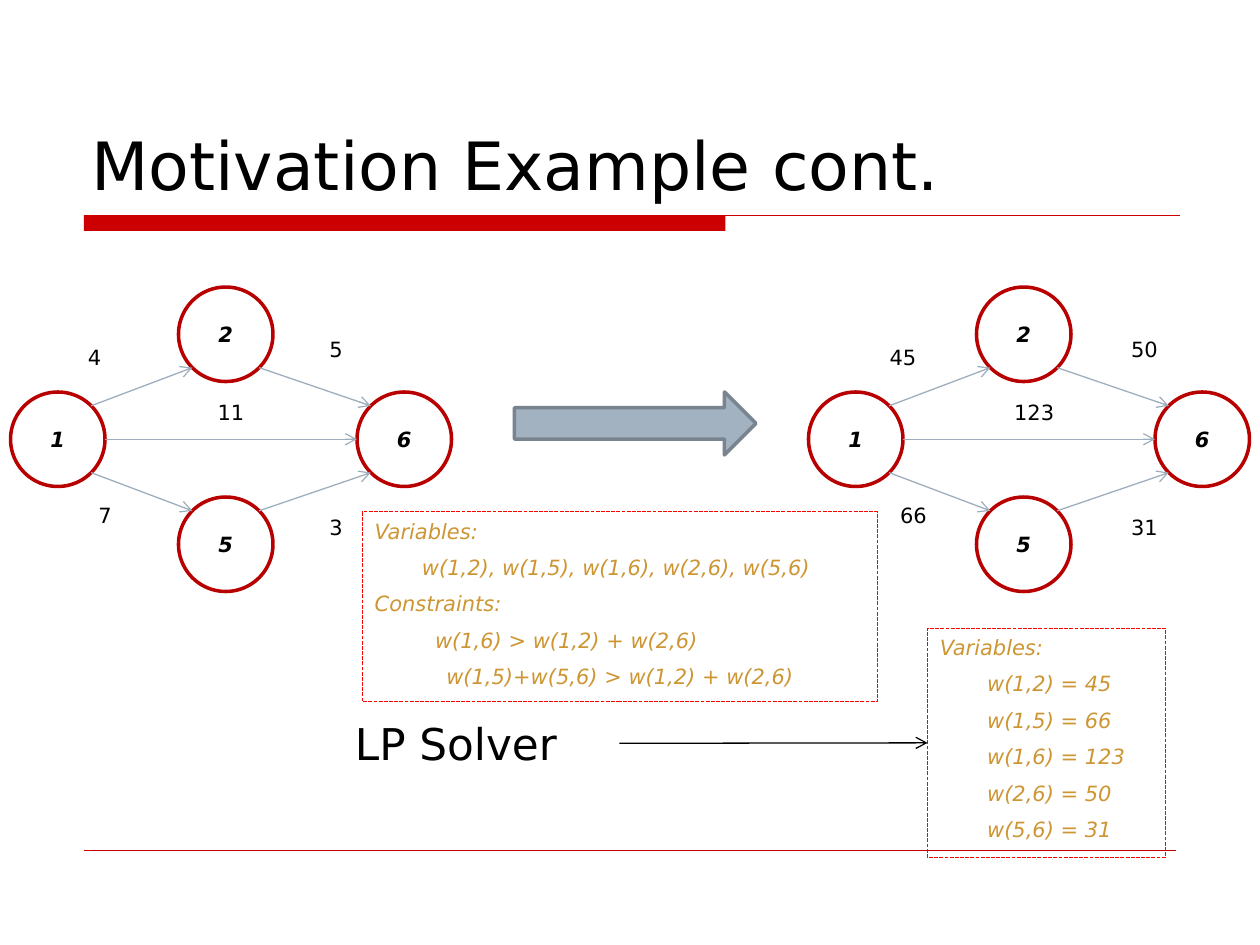
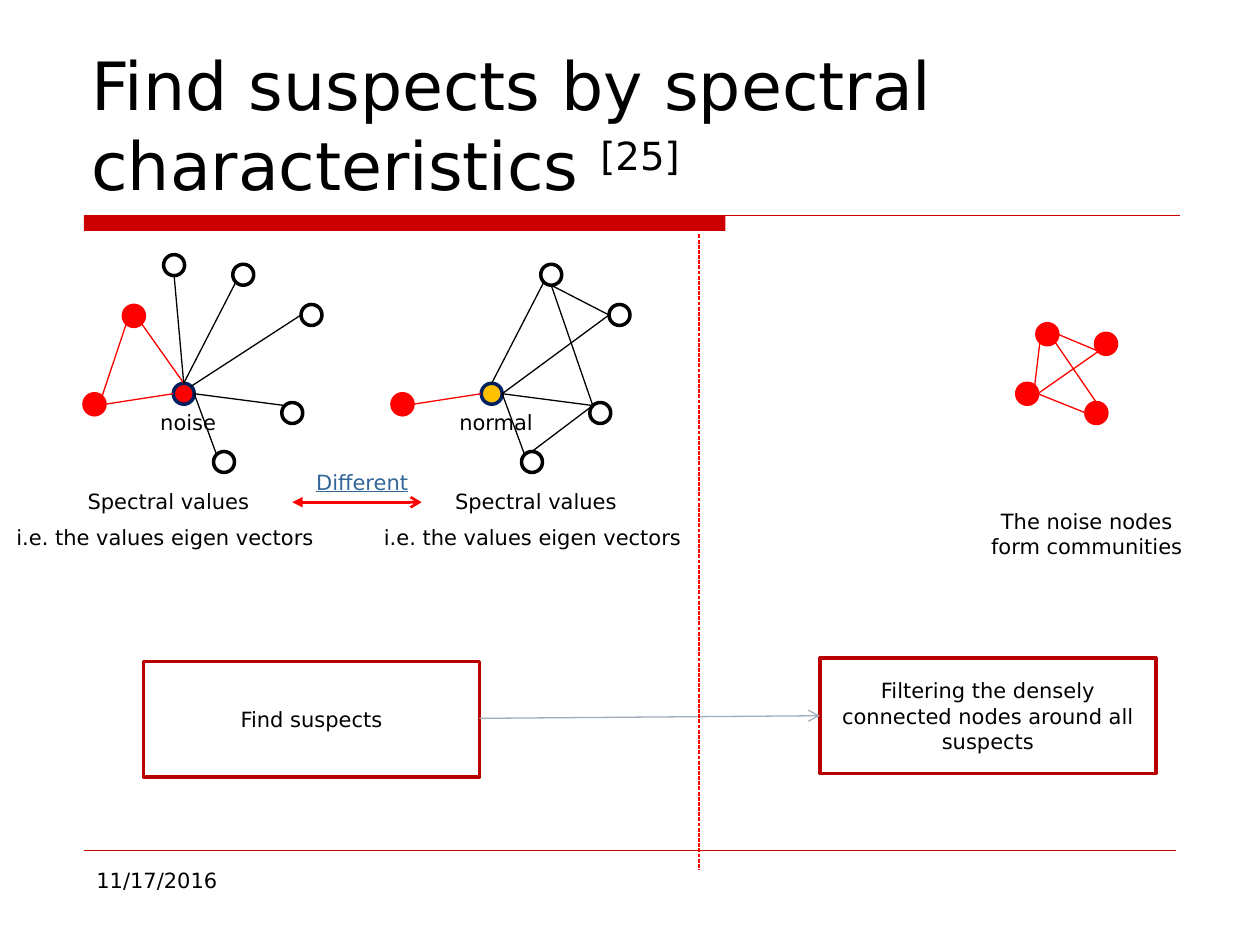
import math

import pptx
import pptx.dml.color
import pptx.enum.dml
import pptx.enum.shapes
import pptx.enum.text
import pptx.oxml.ns
import pptx.util
from lxml import etree

Pt = pptx.util.Pt
SHAPE = pptx.enum.shapes.MSO_SHAPE
ALIGN = pptx.enum.text.PP_ALIGN
ANCHOR = pptx.enum.text.MSO_ANCHOR

FONT = "DejaVu Sans"
BLACK, WHITE, RED = "000000", "FFFFFF", "FF0000"
BAND, OUTLINE, EDGE = "CC0000", "B90000", "9FAEBD"
GOLD, NAVY, AMBER, LINK = "CD9633", "002060", "FFC000", "336699"
ARROW_FILL, ARROW_LINE = "A3B2C1", "79848F"

DIRECTIONS = {"N": (0, -1), "NE": (1, -1), "E": (1, 0), "SE": (1, 1),
              "S": (0, 1), "SW": (-1, 1), "W": (-1, 0), "NW": (-1, -1)}
GRAPH_GAP = 456
CLUSTER_GAP = 176
LABEL_WIDTHS = {1: 24, 2: 36, 3: 42}


def rgb(value):
    return pptx.dml.color.RGBColor.from_string(value)


def write(tf, text, size=12, color=BLACK, align=ALIGN.CENTER, indent=0,
          bold=False, italic=False, underline=False, raised=False, p=None):
    if p is None:
        p = tf.paragraphs[0]
        if p.runs:
            p = tf.add_paragraph()
            p.space_before = Pt(6.4)
        p.alignment = align
        if indent:
            p._p.get_or_add_pPr().set("marL", str(Pt(indent)))
    r = p.add_run()
    r.text = text
    r.font.name = FONT
    r.font.size = Pt(size)
    r.font.color.rgb = rgb(color)
    r.font.bold = bold
    r.font.italic = italic
    r.font.underline = underline
    if raised:
        r.font._element.set("baseline", "30000")
    return p


def add_text(s, left, top, width, height, *lines, **fmt):
    tf = s.shapes.add_textbox(Pt(left), Pt(top), Pt(width), Pt(height)).text_frame
    tf.word_wrap = True
    for text in lines:
        write(tf, text, **fmt)


def add_box(s, kind, left, top, width, height, fill=None, line=None, weight=2, dashed=False):
    sp = s.shapes.add_shape(kind, Pt(left), Pt(top), Pt(width), Pt(height))
    sp.shadow.inherit = False
    if fill:
        sp.fill.solid()
        sp.fill.fore_color.rgb = rgb(fill)
    else:
        sp.fill.background()
    if line:
        sp.line.color.rgb = rgb(line)
        sp.line.width = Pt(weight)
    else:
        sp.line.fill.background()
    if dashed:
        sp.line.dash_style = pptx.enum.dml.MSO_LINE.SQUARE_DOT
    sp.text_frame.word_wrap = True
    return sp


def add_line(s, start, end, color=BLACK, weight=0.75, head=None, tail=None, dashed=False):
    c = s.shapes.add_connector(pptx.enum.shapes.MSO_CONNECTOR.STRAIGHT,
                               *[Pt(v) for v in (*start, *end)])
    c.line.color.rgb = rgb(color)
    c.line.width = Pt(weight)
    if dashed:
        c.line.dash_style = pptx.enum.dml.MSO_LINE.SQUARE_DOT
    ln = c.line._get_or_add_ln()
    for tag, kind in (("a:headEnd", head), ("a:tailEnd", tail)):
        if kind:
            etree.SubElement(ln, pptx.oxml.ns.qn(tag), type=kind)
    etree.SubElement(c._element.spPr, pptx.oxml.ns.qn("a:effectLst"))


def site(sp, direction):
    dx, dy = DIRECTIONS[direction]
    radius = sp.width.pt / 2
    scale = radius / math.hypot(dx, dy)
    return sp.left.pt + radius + dx * scale, sp.top.pt + radius + dy * scale


def link(s, nodes, edges, **fmt):
    for a, a_side, b, b_side in edges:
        add_line(s, site(nodes[a], a_side), site(nodes[b], b_side), **fmt)


def add_slide(prs, title, reference=None):
    s = prs.slides.add_slide(prs.slide_layouts[5])
    add_box(s, SHAPE.RECTANGLE, 48, 123, 366.5, 9, fill=BAND)
    add_line(s, (48, 123), (674.5, 123), BAND)
    add_line(s, (48, 486), (672, 486), BAND, 0.25)
    sp = s.shapes.title
    sp.left, sp.top, sp.width, sp.height = Pt(45), Pt(24), Pt(630), Pt(96)
    tf = sp.text_frame
    tf.auto_size = pptx.enum.text.MSO_AUTO_SIZE.NONE
    tf.word_wrap = True
    tf.vertical_anchor = ANCHOR.BOTTOM
    p = write(tf, title, size=38, align=ALIGN.LEFT)
    if reference:
        write(tf, reference, size=38, raised=True, p=p)
    return s


def add_weighted_graph(s, x, weights):
    nodes = {}
    for name, left, top in (("2", 102, 164), ("1", 6, 224), ("5", 102, 284), ("6", 204, 224)):
        sp = add_box(s, SHAPE.OVAL, x + left, top, 54, 54, WHITE, OUTLINE)
        sp.text_frame.vertical_anchor = ANCHOR.MIDDLE
        write(sp.text_frame, name, bold=True, italic=True)
        nodes[name] = sp
    link(s, nodes, [("1", "NE", "2", "SW"), ("1", "SE", "5", "NW"), ("1", "E", "6", "W"),
                    ("2", "SE", "6", "NW"), ("5", "NE", "6", "SW")], color=EDGE, tail="arrow")
    places = ((42, 193.5), (180, 188.5), (48, 283.5), (180, 290.5), (114, 224.5))
    for weight, (left, top) in zip(weights, places):
        add_text(s, x + left, top, LABEL_WIDTHS[len(weight)], 22, weight)


def add_program(s, left, top, width, height, lines):
    tf = add_box(s, SHAPE.RECTANGLE, left, top, width, height,
                 line=RED, weight=0.75, dashed=True).text_frame
    tf.vertical_anchor = ANCHOR.TOP
    for text, indent, align in lines:
        write(tf, text, color=GOLD, italic=True, indent=indent, align=align)


def add_dots(s, x, dots):
    return {name: add_box(s, SHAPE.OVAL, x + left, top, 12, 12, fill, line)
            for name, left, top, fill, line in dots}


def add_cluster(s, x, hub_fill, label, label_width, extra_dots, red_edges, black_edges):
    dots = [("suspect", 48, 225, RED, RED), ("hub", 99, 219, hub_fill, NAVY)]
    dots += [(name, left, top, WHITE, BLACK) for name, left, top in
             (("top", 133, 151), ("right", 172, 174), ("low", 161, 230), ("bottom", 122, 258))]
    nodes = add_dots(s, x, dots + extra_dots)
    link(s, nodes, [("suspect", "E", "hub", "W")] + red_edges, color=RED)
    link(s, nodes, [("hub", "N", "top", "SW"), ("hub", "E", "low", "NW"),
                    ("hub", "E", "bottom", "NW")] + black_edges)
    add_text(s, x + 107.5 - label_width / 2, 230.5, label_width, 22, label)


def add_step(s, left, top, text):
    sp = add_box(s, SHAPE.RECTANGLE, left, top, 192, 66, WHITE, OUTLINE)
    sp.text_frame.vertical_anchor = ANCHOR.MIDDLE
    write(sp.text_frame, text)


def build_motivation(prs):
    s = add_slide(prs, "Motivation Example cont.")
    add_weighted_graph(s, 0, ("4", "5", "7", "3", "11"))
    add_box(s, SHAPE.RIGHT_ARROW, 294, 224, 138, 36, ARROW_FILL, ARROW_LINE)
    add_weighted_graph(s, GRAPH_GAP, ("45", "50", "66", "31", "123"))
    add_program(s, 207, 292.5, 294.5, 108.5, [
        ("Variables:", 0, ALIGN.LEFT),
        ("w(1,2), w(1,5), w(1,6), w(2,6), w(5,6)", 27, ALIGN.LEFT),
        ("Constraints:", 0, ALIGN.LEFT),
        ("w(1,6) > w(1,2) + w(2,6)", 34.5, ALIGN.LEFT),
        ("w(1,5)+w(5,6) > w(1,2) + w(2,6)", 0, ALIGN.CENTER)])
    add_text(s, 167, 406, 187, 37, "LP Solver", size=25)
    values = ("w(1,2) = 45", "w(1,5) = 66", "w(1,6) = 123", "w(2,6) = 50", "w(5,6) = 31")
    add_program(s, 530, 359, 136, 131,
                [("Variables:", 0, ALIGN.LEFT)] + [(v, 27, ALIGN.LEFT) for v in values])
    add_line(s, (354, 424.75), (530, 424.5), tail="arrow")


def build_suspects(prs):
    s = add_slide(prs, "Find suspects by spectral characteristics ", "[25]")
    add_text(s, 48, 492, 156, 37, "11/17/2016", align=ALIGN.LEFT)
    add_cluster(s, 0, RED, "noise", 51,
                [("peer", 70.5, 174.5, RED, RED), ("crown", 93.5, 145.5, WHITE, BLACK)],
                [("hub", "N", "peer", "SE"), ("peer", "SW", "suspect", "NE")],
                [("hub", "NE", "right", "W"), ("hub", "N", "crown", "S")])
    add_cluster(s, CLUSTER_GAP, AMBER, "normal", 63, [], [],
                [("hub", "E", "right", "W"), ("right", "W", "top", "S"),
                 ("bottom", "N", "low", "NW"), ("low", "NW", "top", "S")])
    community = add_dots(s, 0, [(name, left, top, RED, RED) for name, left, top in
                                (("left", 581, 219), ("low", 620.5, 230),
                                 ("top", 592.5, 185), ("right", 626, 190.5))])
    link(s, community, [("low", "N", "top", "SE"), ("top", "SW", "left", "NE"),
                        ("left", "E", "low", "W"), ("right", "SW", "top", "E"),
                        ("right", "SW", "left", "E")], color=RED)
    add_text(s, 553, 287, 136, 36, "The noise nodes form communities")
    add_step(s, 82, 378, "Find suspects")
    add_step(s, 468.5, 376, "Filtering the densely connected nodes around all suspects")
    add_line(s, (274, 410.5), (468.5, 409), EDGE, tail="arrow")
    add_line(s, (399.5, 134), (399.5, 497), RED, dashed=True)
    for left in (-8.5, 201.5):
        add_text(s, left, 275.5, 209.5, 44, "Spectral values", "i.e. the values eigen vectors ")
    add_line(s, (167, 287), (241, 287), RED, 1.5, head="triangle", tail="arrow")
    add_text(s, 150.5, 265, 113, 22, "Different", color=LINK, underline=True)


def main():
    prs = pptx.Presentation()
    prs.slide_width, prs.slide_height = Pt(720), Pt(540)
    build_motivation(prs)
    build_suspects(prs)
    prs.save("out.pptx")


if __name__ == "__main__":
    main()
